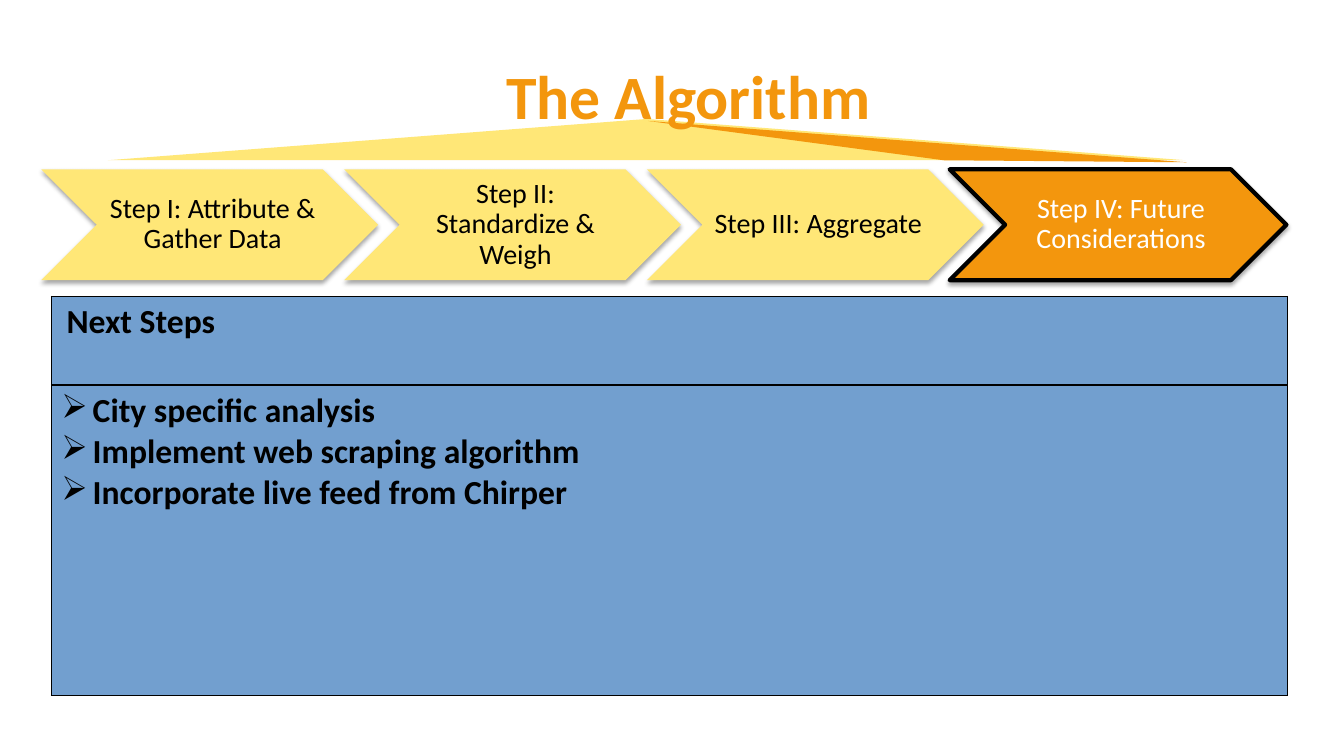
from dataclasses import dataclass

import lxml.etree
import pptx
import pptx.dml.color
import pptx.enum.shapes
import pptx.enum.text
import pptx.oxml.ns
import pptx.util

Inches = pptx.util.Inches
Pt = pptx.util.Pt
qn = pptx.oxml.ns.qn
Shapes = pptx.enum.shapes.MSO_SHAPE
CENTER = pptx.enum.text.PP_ALIGN.CENTER
MIDDLE = pptx.enum.text.MSO_ANCHOR.MIDDLE

YELLOW, ORANGE, BLUE = "FFE777", "F3960D", "729FCF"
BLACK, WHITE = "000000", "FFFFFF"


@dataclass
class Step:
    text: str
    fill: str = YELLOW
    color: str = BLACK
    outline: str | None = None


STEPS = [
    Step("Step I: Attribute & Gather Data"),
    Step("Step II: Standardize & Weigh"),
    Step("Step III: Aggregate"),
    Step("Step IV: Future Considerations", ORANGE, WHITE, BLACK),
]
NEXT_STEPS = [
    "City specific analysis",
    "Implement web scraping algorithm",
    "Incorporate live feed from Chirper",
]


def rgb(value: str) -> pptx.dml.color.RGBColor:
    return pptx.dml.color.RGBColor.from_string(value)


def add_xml(parent, tag: str, **attributes: str):
    return lxml.etree.SubElement(parent, qn(tag), attributes)


def set_font(paragraph, size: float, color: str, bold: bool = False) -> None:
    font = paragraph.font
    font.name, font.size, font.bold = "Calibri", Pt(size), bold
    font.color.rgb = rgb(color)


def paint(shape, fill: str, outline: str | None = None) -> None:
    shape.fill.solid()
    shape.fill.fore_color.rgb = rgb(fill)
    if outline:
        shape.line.color.rgb = rgb(outline)
        shape.line.width = Pt(3)
    else:
        shape.line.fill.background()
    shape.shadow.inherit = False


def add_shadow(shape) -> None:
    effects = shape._element.spPr.find(qn("a:effectLst"))
    shadow = add_xml(effects, "a:outerShdw", blurRad="40000", dist="23000",
                     dir="5400000", rotWithShape="0")
    color = add_xml(shadow, "a:srgbClr", val=BLACK)
    add_xml(color, "a:alpha", val="35000")


def add_step(slide, step: Step, left: float) -> None:
    chevron = slide.shapes.add_shape(
        Shapes.CHEVRON, Inches(left), Inches(1.68), Inches(3.34), Inches(1.1))
    paint(chevron, step.fill, step.outline)
    add_shadow(chevron)
    frame = chevron.text_frame
    frame.word_wrap = True
    frame.vertical_anchor = MIDDLE
    frame.margin_left = Inches(0.09)
    frame.margin_top = frame.margin_right = frame.margin_bottom = Inches(0.03)
    paragraph = frame.paragraphs[0]
    paragraph.text = step.text
    paragraph.alignment = CENTER
    paragraph.line_spacing = 0.9
    set_font(paragraph, 20, step.color)


def add_bullet(paragraph) -> None:
    properties = paragraph._p.get_or_add_pPr()
    properties.set("marL", str(Inches(0.31)))
    properties.set("indent", str(-Inches(0.31)))
    color = add_xml(properties, "a:buClr")
    add_xml(color, "a:srgbClr", val=BLACK)
    add_xml(properties, "a:buChar", char="➢")


def style_cell(cell) -> None:
    properties = cell._tc.get_or_add_tcPr()
    for side in ("a:lnL", "a:lnR", "a:lnT", "a:lnB"):
        border = add_xml(properties, side, w=str(Pt(1)))
        fill = add_xml(border, "a:solidFill")
        add_xml(fill, "a:srgbClr", val=BLACK)
    cell.fill.solid()
    cell.fill.fore_color.rgb = rgb(BLUE)


def add_next_steps(slide) -> None:
    table = slide.shapes.add_table(
        2, 1, Inches(0.51), Inches(2.94), Inches(12.26), Inches(3.96)).table
    table.first_row = table.horz_banding = False
    for row, height in zip(table.rows, (0.88, 3.08)):
        row.height = Inches(height)
        style_cell(row.cells[0])

    heading = table.cell(0, 0).text_frame.paragraphs[0]
    heading.text = "Next Steps"
    heading._p.get_or_add_pPr().set("marL", str(Inches(0.05)))
    set_font(heading, 24, BLACK, bold=True)

    frame = table.cell(1, 0).text_frame
    frame.text = "\n".join(NEXT_STEPS)
    for paragraph in frame.paragraphs:
        add_bullet(paragraph)
        set_font(paragraph, 24, BLACK, bold=True)


def add_title(slide) -> None:
    title = slide.shapes.title
    title.left, title.top = Inches(1.08), Inches(0.57)
    title.width, title.height = Inches(11.5), Inches(0.74)
    frame = title.text_frame
    frame.text = "The Algorithm"
    frame.vertical_anchor = MIDDLE
    frame.auto_size = pptx.enum.text.MSO_AUTO_SIZE.NONE
    frame.paragraphs[0].alignment = CENTER
    set_font(frame.paragraphs[0], 44, ORANGE, bold=True)


def add_roof(slide) -> None:
    roof = slide.shapes.add_shape(
        Shapes.ISOSCELES_TRIANGLE, Inches(1.07), Inches(1.18),
        Inches(10.69), Inches(0.41))
    paint(roof, YELLOW)
    # The title lies between the roof and its highlighted beam
    roof._element.addnext(slide.shapes.title._element)

    apex, *corners = [(Inches(x), Inches(y)) for x, y in
                      ((9.36, 1.59), (6.43, 1.2), (11.77, 1.61))]
    builder = slide.shapes.build_freeform(*apex, scale=1.0)
    builder.add_line_segments(corners, close=True)
    paint(builder.convert_to_shape(), ORANGE)


def main() -> None:
    presentation = pptx.Presentation()
    presentation.slide_width = Inches(13.33)
    presentation.slide_height = Inches(7.5)
    slide = presentation.slides.add_slide(presentation.slide_layouts[5])

    # Process steps
    for index, step in enumerate(STEPS):
        add_step(slide, step, 0.41 + 3.003 * index)

    # Title and the roof over the steps
    add_title(slide)
    add_roof(slide)

    # Next steps table
    add_next_steps(slide)
    presentation.save("out.pptx")


if __name__ == "__main__":
    main()
